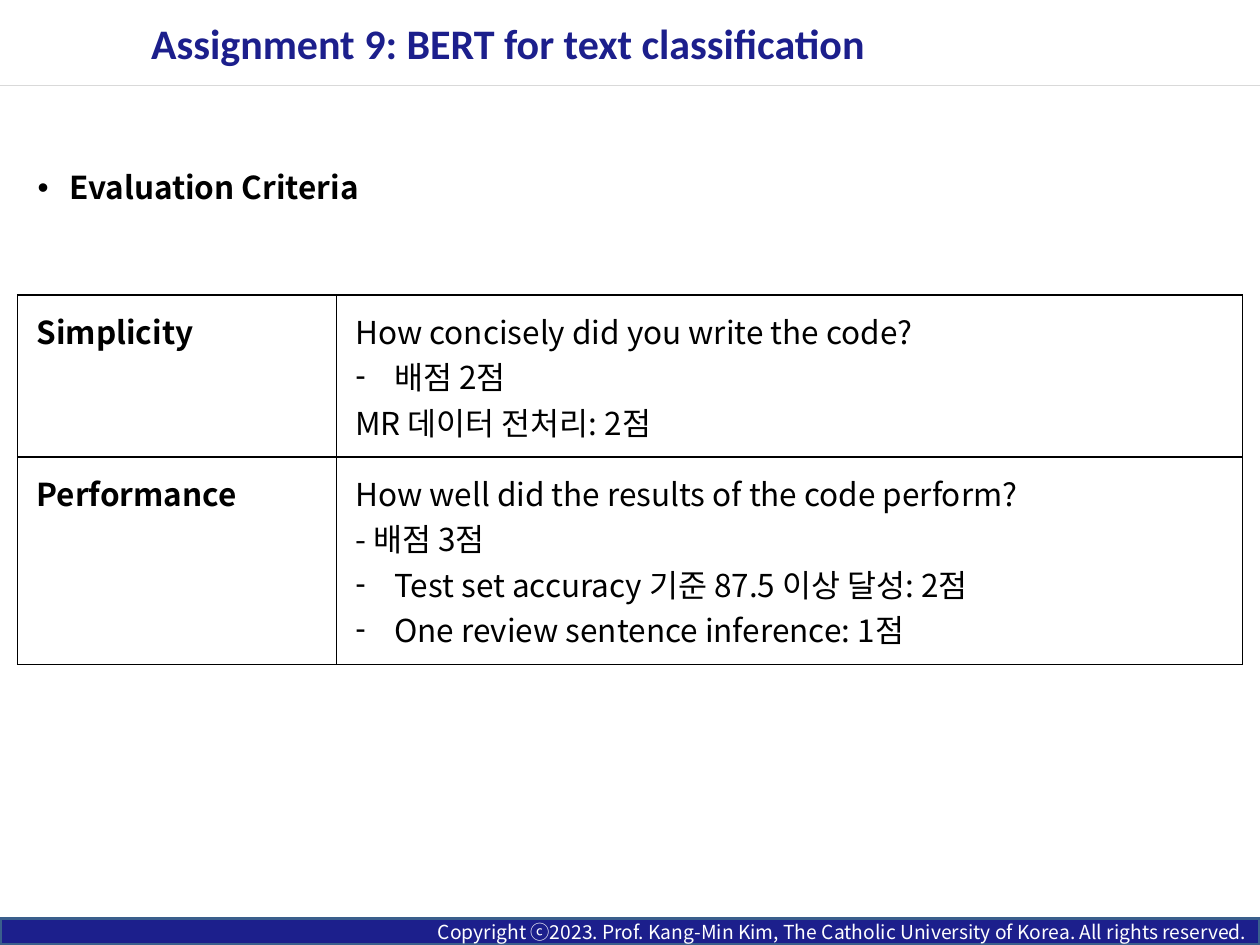
from lxml.etree import SubElement
from pptx import Presentation
from pptx.dml.color import RGBColor
from pptx.enum.shapes import MSO_CONNECTOR, MSO_SHAPE
from pptx.enum.text import MSO_ANCHOR, PP_ALIGN
from pptx.oxml.ns import qn
from pptx.util import Inches, Pt

NAVY = RGBColor(0x1C, 0x1F, 0x8C)
STEEL = RGBColor(0x3A, 0x5F, 0x8C)
GRAY = RGBColor(0xD9, 0xD9, 0xD9)
BLACK = RGBColor(0, 0, 0)
WHITE = RGBColor(255, 255, 255)
BODY_FONT = "Noto Sans CJK KR"

# Each row: name, then (bullet, text) lines
CRITERIA = [
    ("Simplicity", [
        (None, "How concisely did you write the code?"),
        ("-", "배점 2점"),
        (None, "MR 데이터 전처리: 2점"),
    ]),
    ("Performance", [
        (None, "How well did the results of the code perform?"),
        (None, "- 배점 3점"),
        ("-", "Test set accuracy 기준 87.5 이상 달성: 2점"),
        ("-", "One review sentence inference: 1점"),
    ]),
]


def write(p, text, size=18, color=BLACK, bold=False, font=BODY_FONT,
          align=PP_ALIGN.LEFT, bullet=None, indent=0.31):
    """Fill a paragraph with one formatted run."""
    p.alignment = align
    if bullet:
        pPr = p._p.get_or_add_pPr()
        pPr.set("marL", str(Inches(indent)))
        pPr.set("indent", str(-Inches(indent)))
        SubElement(pPr, qn("a:buFont"), typeface="Arial")
        SubElement(pPr, qn("a:buChar"), char=bullet)
    r = p.add_run()
    r.text = text
    r.font.size, r.font.bold, r.font.name = Pt(size), bold, font
    r.font.color.rgb = color
    SubElement(r._r.get_or_add_rPr(), qn("a:ea"), typeface=font)


def place(shape, left, top, width, height):
    shape.left, shape.top = Inches(left), Inches(top)
    shape.width, shape.height = Inches(width), Inches(height)


def add_footer(s, left, top, width, height):
    bar = s.shapes.add_shape(MSO_SHAPE.RECTANGLE, Inches(left), Inches(top),
                             Inches(width), Inches(height))
    bar.shadow.inherit = False
    bar.fill.solid()
    bar.fill.fore_color.rgb = NAVY
    bar.line.color.rgb = STEEL
    bar.line.width = Pt(2)
    tf = bar.text_frame
    tf.word_wrap = True
    tf.vertical_anchor = MSO_ANCHOR.MIDDLE
    write(tf.paragraphs[0],
          "Copyright ⓒ2023. Prof. Kang-Min Kim, The Catholic University of Korea. "
          "All rights reserved.", size=11, color=WHITE, align=PP_ALIGN.RIGHT)


def add_header(s, left, top, width, height):
    # Rule under the title
    bottom = Inches(top + height)
    rule = s.shapes.add_connector(MSO_CONNECTOR.STRAIGHT, 0, bottom, Inches(10), bottom)
    rule.line.color.rgb = GRAY
    rule.line.width = Pt(0.75)
    SubElement(rule._element.spPr, qn("a:effectLst"))
    # Title
    title = s.shapes.title
    place(title, left, top, width, height)
    tf = title.text_frame
    tf.vertical_anchor = MSO_ANCHOR.MIDDLE
    write(tf.paragraphs[0], "Assignment 9: BERT for text classification",
          size=24, color=NAVY, bold=True, font="Calibri")


def add_heading(s, left, top, width, height):
    tf = s.shapes.add_textbox(Inches(left), Inches(top),
                              Inches(width), Inches(height)).text_frame
    tf.word_wrap = True
    p = tf.paragraphs[0]
    write(p, "Evaluation Criteria", bold=True, bullet="•", indent=0.25)
    p.line_spacing = 0.9


def format_cell(cell):
    cell.margin_left = cell.margin_right = Inches(0.15)
    cell.margin_top = cell.margin_bottom = Inches(0.1)
    tcPr = cell._tc.get_or_add_tcPr()
    for side in ("lnL", "lnR", "lnT", "lnB"):
        ln = SubElement(tcPr, qn(f"a:{side}"), w=str(Pt(1)))
        fill = SubElement(ln, qn("a:solidFill"))
        SubElement(fill, qn("a:srgbClr"), val=str(BLACK))
    cell.fill.solid()
    cell.fill.fore_color.rgb = WHITE


def add_criteria_table(s, left, top, width, height):
    table = s.shapes.add_table(len(CRITERIA), 2, Inches(left), Inches(top),
                               Inches(width), Inches(height)).table
    table.first_row = table.horz_banding = False
    table.columns[0].width = Inches(2.53)
    table.columns[1].width = Inches(width - 2.53)
    for i, (name, lines) in enumerate(CRITERIA):
        # Row height follows the number of lines
        table.rows[i].height = Inches(0.2 + 0.36 * len(lines))
        name_cell, text_cell = table.cell(i, 0), table.cell(i, 1)
        format_cell(name_cell)
        format_cell(text_cell)
        write(name_cell.text_frame.paragraphs[0], name, bold=True, align=PP_ALIGN.JUSTIFY)
        tf = text_cell.text_frame
        for j, (bullet, text) in enumerate(lines):
            p = tf.add_paragraph() if j else tf.paragraphs[0]
            write(p, text, bullet=bullet, align=PP_ALIGN.JUSTIFY)


def main():
    prs = Presentation()
    prs.slide_width, prs.slide_height = Inches(10), Inches(7.5)
    s = prs.slides.add_slide(prs.slide_layouts[5])
    add_footer(s, 0, 7.29, 10, 0.21)
    add_header(s, 1.1, 0, 8.9, 0.68)
    add_criteria_table(s, 0.14, 2.34, 9.72, 2.92)
    add_heading(s, 0.2, 1.32, 9.66, 4.76)
    prs.save("out.pptx")


if __name__ == "__main__":
    main()
